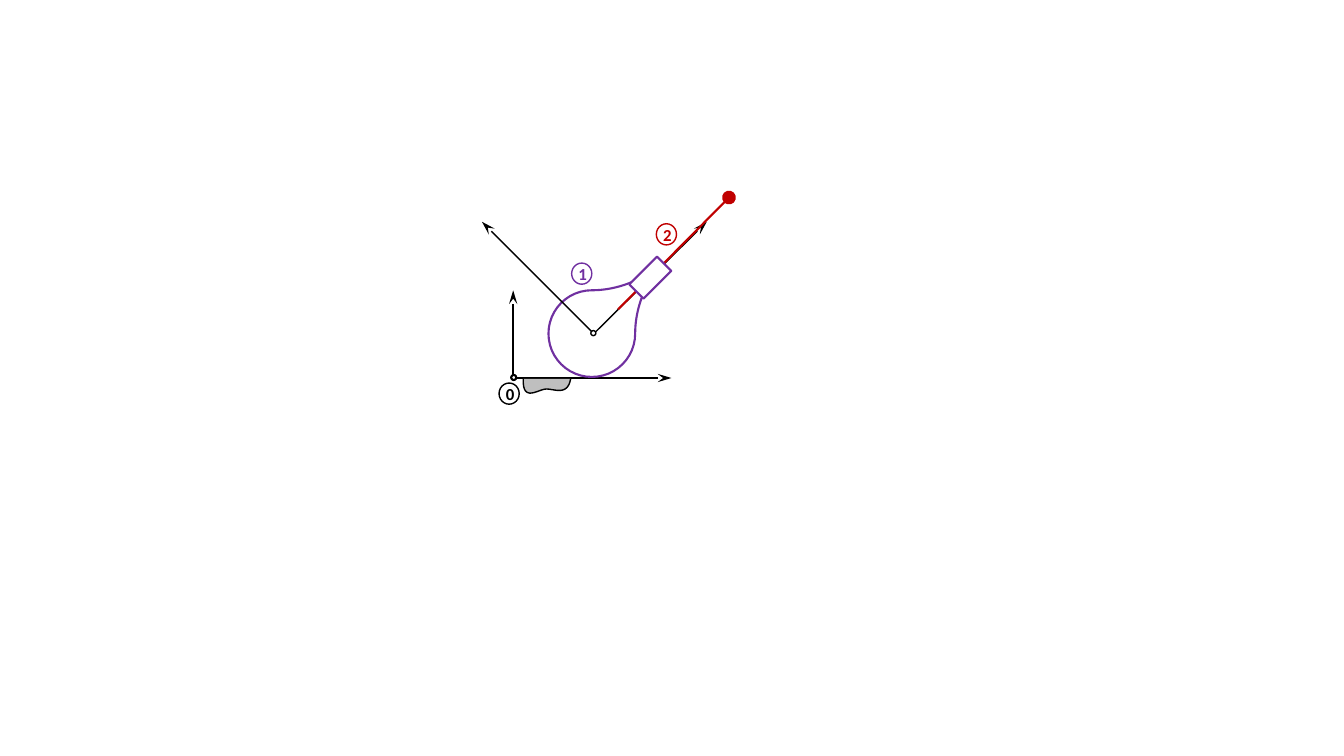
import dataclasses

import lxml.etree
import pptx
import pptx.dml.color
import pptx.enum.shapes
import pptx.enum.text
import pptx.oxml.ns
import pptx.util

SHAPES = pptx.enum.shapes.MSO_SHAPE


@dataclasses.dataclass(frozen=True)
class Theme:
    black: str = "000000"
    white: str = "FFFFFF"
    ground: str = "BFBFBF"
    body: str = "7030A0"
    rod: str = "C00000"
    font: str = "Calibri"
    label_size: int = 12
    thin: float = 1
    thick: float = 1.5


class Diagram:
    EMU_PER_PX = 9144

    def __init__(self, theme, width, height):
        self.theme = theme
        self.presentation = pptx.Presentation()
        self.presentation.slide_width = self.emu(width)
        self.presentation.slide_height = self.emu(height)
        self.slide = self.presentation.slides.add_slide(self.presentation.slide_layouts[6])

    def emu(self, px):
        return pptx.util.Emu(round(px * self.EMU_PER_PX))

    def color(self, name):
        return pptx.dml.color.RGBColor.from_string(name)

    def style(self, shape, fill, line, weight):
        shape.shadow.inherit = False
        if fill is None:
            shape.fill.background()
        else:
            shape.fill.solid()
            shape.fill.fore_color.rgb = self.color(fill)
        shape.line.color.rgb = self.color(line)
        shape.line.width = pptx.util.Pt(weight)

    def shape(self, kind, box, fill, line, weight, rotation=0, parent=None):
        shapes = (parent or self.slide).shapes
        shape = shapes.add_shape(kind, *map(self.emu, box))
        shape.rotation = rotation
        self.style(shape, fill, line, weight)
        return shape

    def connector(self, start, end, color, weight, tip, tip_width, parent=None):
        shapes = (parent or self.slide).shapes
        connector = shapes.add_connector(
            pptx.enum.shapes.MSO_CONNECTOR.STRAIGHT, *map(self.emu, (*start, *end)))
        connector.line.color.rgb = self.color(color)
        connector.line.width = pptx.util.Pt(weight)
        qn = pptx.oxml.ns.qn
        lxml.etree.SubElement(connector.line._get_or_add_ln(), qn("a:tailEnd"),
                              type=tip, w=tip_width, len="lg")
        lxml.etree.SubElement(connector._element.spPr, qn("a:effectLst"))

    def frame(self, origin, tips, node, weight):
        group = self.slide.shapes.add_group_shape()
        for tip in tips:
            self.connector(origin, tip, self.theme.black, self.theme.thin,
                           "stealth", "med", group)
        self.shape(SHAPES.OVAL, (*node, 5, 5), self.theme.white, self.theme.black,
                   weight, parent=group)

    def curve(self, start, segments, fill, line, weight, steps=16):
        points = []
        current = start
        for first, second, end in segments:
            for step in range(1, steps + 1):
                t = step / steps
                points.append(tuple(
                    self.emu((1 - t) ** 3 * a + 3 * (1 - t) ** 2 * t * b
                             + 3 * (1 - t) * t ** 2 * c + t ** 3 * d)
                    for a, b, c, d in zip(current, first, second, end)))
            current = end
        builder = self.slide.shapes.build_freeform(*map(self.emu, start), scale=1.0)
        builder.add_line_segments(points, close=False)
        self.style(builder.convert_to_shape(), fill, line, weight)

    def label(self, text, left, top, color):
        shape = self.shape(SHAPES.OVAL, (left, top, 20, 21), self.theme.white, color,
                           self.theme.thin)
        frame = shape.text_frame
        frame.margin_left = self.emu(2)
        frame.margin_right = frame.margin_top = frame.margin_bottom = 0
        frame.word_wrap = False
        frame.vertical_anchor = pptx.enum.text.MSO_ANCHOR.MIDDLE
        paragraph = frame.paragraphs[0]
        paragraph.alignment = pptx.enum.text.PP_ALIGN.CENTER
        run = paragraph.add_run()
        run.text = text
        run.font.name = self.theme.font
        run.font.size = pptx.util.Pt(self.theme.label_size)
        run.font.bold = True
        run.font.color.rgb = self.color(color)


def main():
    theme = Theme()
    diagram = Diagram(theme, 1333, 750)

    diagram.frame((509, 375), [(509, 288), (666, 375)], (507, 372), theme.thick)
    body = diagram.shape(SHAPES.TEAR, (544, 288, 86, 86), None, theme.body, theme.thick)
    body.adjustments[0] = 1.49
    diagram.frame((589, 331), [(478, 220), (701, 220)], (586, 328), theme.thin)
    diagram.connector((613, 307), (723, 196), theme.rod, theme.thick, "oval", "lg")
    diagram.shape(SHAPES.RECTANGLE, (635, 256, 20, 39), theme.white, theme.body,
                  theme.thick, rotation=45)
    diagram.curve((519, 376), [((518, 400), (534, 386), (542, 386)),
                               ((550, 386), (563, 393), (566, 376))],
                  theme.ground, theme.black, theme.thin)

    for text, left, top, color in [("0", 495, 380, theme.black),
                                   ("2", 651, 222, theme.rod),
                                   ("1", 567, 261, theme.body)]:
        diagram.label(text, left, top, color)

    diagram.presentation.save("out.pptx")


if __name__ == "__main__":
    main()
